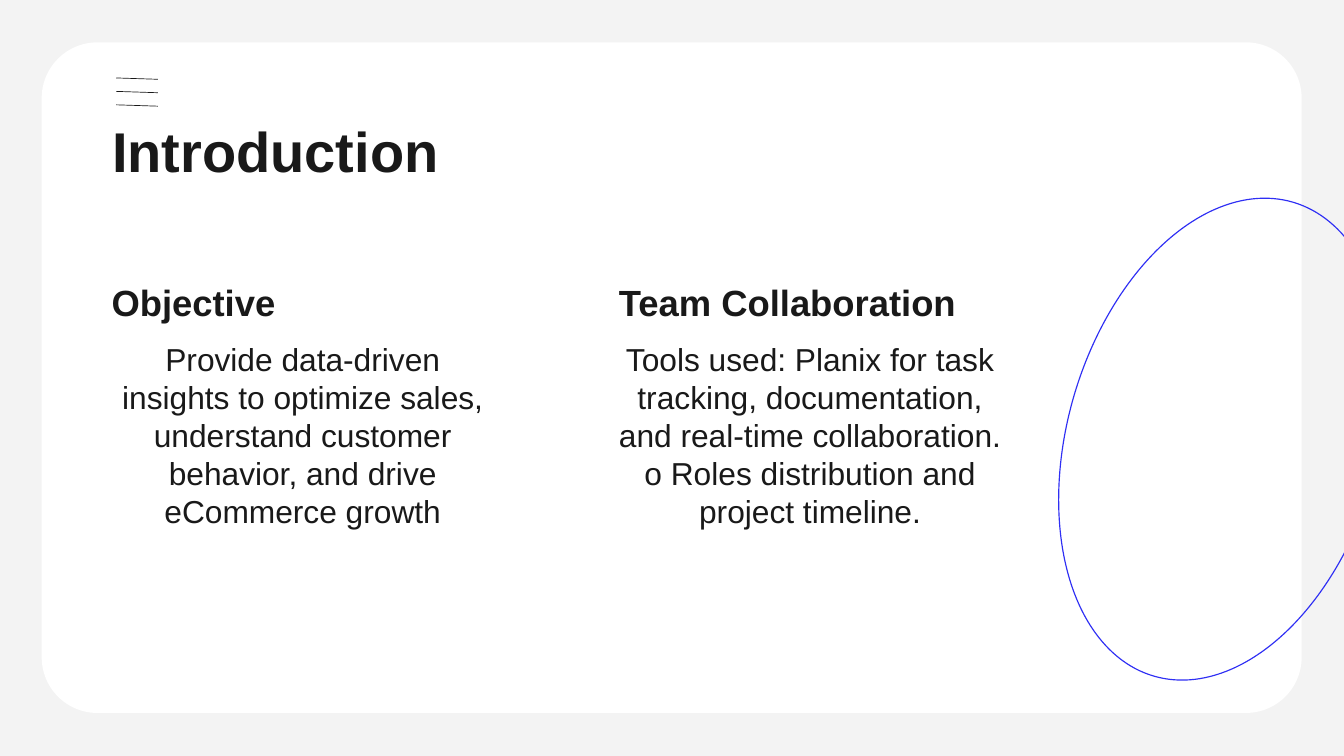
import pptx
import pptx.dml.color
import pptx.enum.shapes
import pptx.enum.text
import pptx.oxml
import pptx.util
from pptx.util import Inches, Pt

COLORS = {"background": "F3F3F3", "card": "FFFFFF", "ink": "191919", "accent": "2F2FF4"}
FONT = "Arial"
LINE_HEIGHT = 1.2
ALIGN = pptx.enum.text.PP_ALIGN
SHAPES = pptx.enum.shapes.MSO_SHAPE

COLUMNS = [
    (1.66, "Objective",
     "Provide data-driven insights to optimize sales, understand customer "
     "behavior, and drive eCommerce growth"),
    (9.21, "Team Collaboration",
     "Tools used: Planix for task tracking, documentation, and real-time "
     "collaboration. o Roles distribution and project timeline."),
]


def color(name):
    return pptx.dml.color.RGBColor.from_string(COLORS[name])


def add_text(page, left, top, width, height, text, size, bold=False, align=ALIGN.LEFT):
    box = page.shapes.add_textbox(Inches(left), Inches(top), Inches(width), Inches(height))
    frame = box.text_frame
    frame.word_wrap = True
    frame.margin_left = frame.margin_top = frame.margin_right = frame.margin_bottom = 0
    para = frame.paragraphs[0]
    para.text = text
    para.alignment = align
    para.line_spacing = Pt(size * LINE_HEIGHT)
    para.font.name = FONT
    para.font.size = Pt(size)
    para.font.bold = bold
    para.font.color.rgb = color("ink")


def add_card(page, left, top, width, height, radius):
    card = page.shapes.add_shape(
        SHAPES.ROUNDED_RECTANGLE, Inches(left), Inches(top), Inches(width), Inches(height))
    card.adjustments[0] = radius / min(width, height)
    card.shadow.inherit = False
    card.fill.solid()
    card.fill.fore_color.rgb = color("card")
    card.line.fill.background()


def add_menu_icon(page, left, top, width, gap=0.2, slant=0.02):
    """Three thin, slightly sloping lines."""
    for row in range(3):
        y = top + row * gap
        line = page.shapes.add_connector(
            pptx.enum.shapes.MSO_CONNECTOR.STRAIGHT,
            Inches(left), Inches(y), Inches(left + width), Inches(y + slant))
        line.line.color.rgb = color("ink")
        line.line.width = Pt(0.75)
        line._element.spPr.append(pptx.oxml.parse_xml(
            '<a:effectLst xmlns:a="http://schemas.openxmlformats.org/drawingml/2006/main"/>'))


def add_column(page, left, top, width, heading, body):
    add_text(page, left, top, width, 0.67, heading, 39, bold=True)
    add_text(page, left, top + 0.88, width, 2.83, body, 34, align=ALIGN.CENTER)


def add_ring(page, left, top, width, height, angle):
    ring = page.shapes.add_shape(
        SHAPES.OVAL, Inches(left), Inches(top), Inches(width), Inches(height))
    ring.rotation = angle
    ring.shadow.inherit = False
    ring.fill.background()
    ring.line.color.rgb = color("accent")
    ring.line.width = Pt(1.25)


def main():
    deck = pptx.Presentation()
    deck.slide_width, deck.slide_height = Inches(20), Inches(11.25)
    page = deck.slides.add_slide(deck.slide_layouts[6])
    page.background.fill.solid()
    page.background.fill.fore_color.rgb = color("background")

    add_card(page, 0.62, 0.63, 18.75, 9.98, radius=0.83)
    add_menu_icon(page, 1.73, 1.16, 0.62)
    add_text(page, 1.67, 1.74, 16.65, 1.08, "Introduction", 60, bold=True)
    for left, heading, body in COLUMNS:
        add_column(page, left, 4.17, 5.69, heading, body)
    add_ring(page, 14.53, 4.22, 7.35, 4.63, angle=106.4)

    deck.save("out.pptx")


if __name__ == "__main__":
    main()
